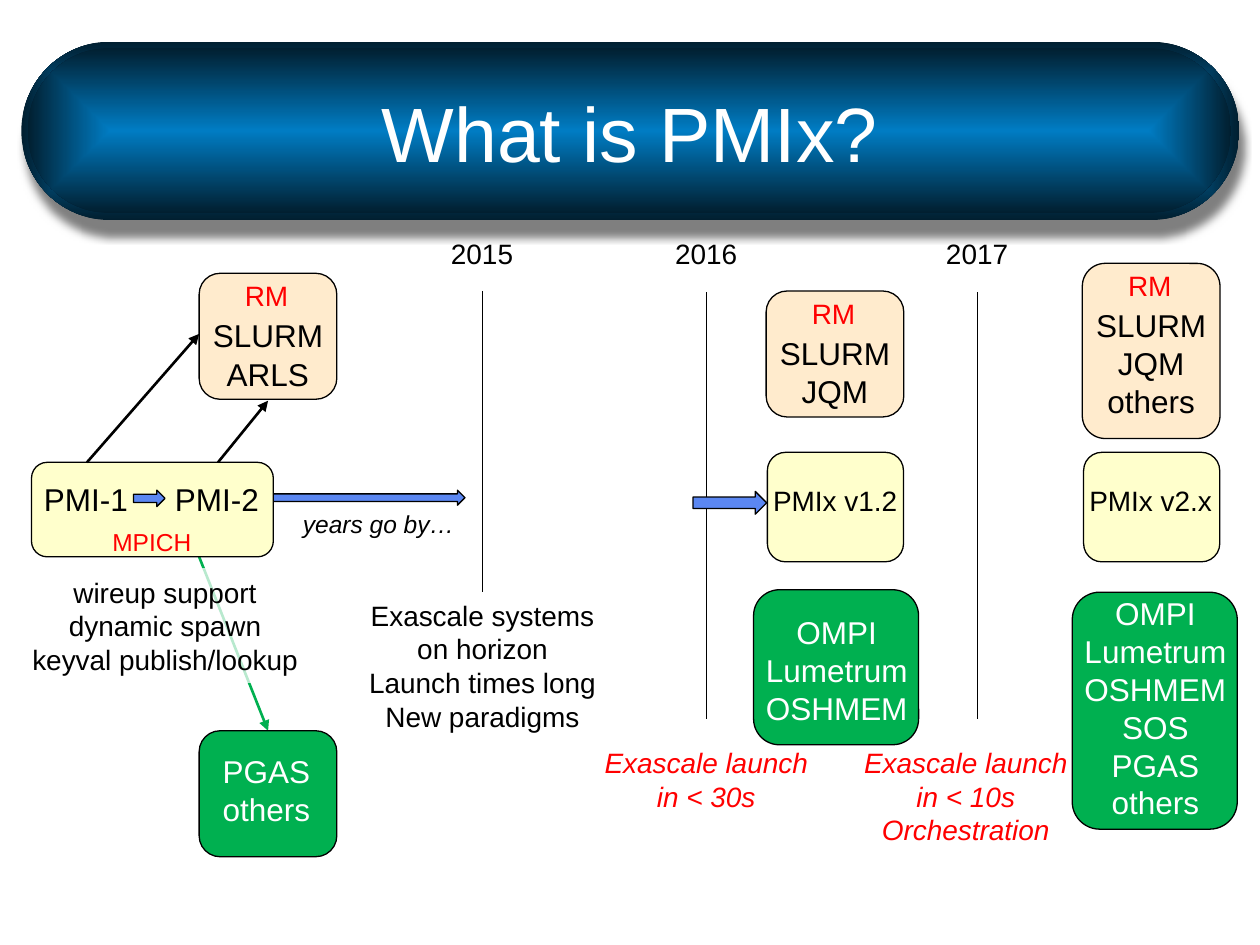
import pptx
import pptx.util
import pptx.dml.color
import pptx.enum.shapes
import pptx.enum.text
import pptx.oxml
import pptx.oxml.ns
from lxml import etree

Pt = pptx.util.Pt
SHAPE = pptx.enum.shapes.MSO_SHAPE
ALIGN = pptx.enum.text.PP_ALIGN
qn = pptx.oxml.ns.qn

COLORS = {
    "black": "000000",
    "white": "FFFFFF",
    "red": "FF0000",
    "manager": "FFEBCD",
    "interface": "FFFFCC",
    "library": "00B050",
    "arrow": "5B87F2",
    "glow": "007CC3",
    "navy": "011F30",
}
FONT = "Arial"
CARD_WIDTH = 78.7


def rgb(name):
    return pptx.dml.color.RGBColor.from_string(COLORS[name])


def add_block(page, kind, left, top, width, height, fill, outlined=True):
    block = page.shapes.add_shape(kind, Pt(left), Pt(top), Pt(width), Pt(height))
    block.shadow.inherit = False
    block.fill.solid()
    block.fill.fore_color.rgb = rgb(fill)
    if outlined:
        block.line.color.rgb = rgb("black")
        block.line.width = Pt(0.75)
    else:
        block.line.fill.background()
    return block


def add_card(page, left, top, width, height, fill):
    return add_block(page, SHAPE.ROUNDED_RECTANGLE, left, top, width, height, fill)


def add_arrow(page, left, top, width, height):
    return add_block(page, SHAPE.RIGHT_ARROW, left, top, width, height, "arrow")


def write_lines(frame, lines, size, color, italic=False, align=ALIGN.CENTER):
    for index, line in enumerate(lines):
        para = frame.paragraphs[0] if index == 0 else frame.add_paragraph()
        para.text = line
        para.alignment = align
        para.font.name = FONT
        para.font.size = Pt(size)
        para.font.italic = italic
        para.font.color.rgb = rgb(color)


def add_label(page, lines, left, top, width, height, size=16, color="black",
              italic=False, align=ALIGN.CENTER):
    box = page.shapes.add_textbox(Pt(left), Pt(top), Pt(width), Pt(height))
    box.text_frame.word_wrap = False
    write_lines(box.text_frame, lines, size, color, italic, align)


def add_line(page, start, end, color="black", width=1.5, arrowhead=True):
    line = page.shapes.add_connector(
        pptx.enum.shapes.MSO_CONNECTOR.STRAIGHT, *[Pt(value) for value in start + end])
    line.line.color.rgb = rgb(color)
    line.line.width = Pt(width)
    if arrowhead:
        etree.SubElement(line.line._get_or_add_ln(), qn("a:tailEnd"), type="triangle")
    etree.SubElement(line._element.spPr, qn("a:effectLst"))


def add_pill(page, left, top, width, height, shadowed):
    pill = add_block(page, SHAPE.ROUNDED_RECTANGLE, left, top, width, height, "navy", False)
    pill.adjustments[0] = 0.5
    properties = pill._element.spPr
    gradient = pptx.oxml.parse_xml(
        f'<a:gradFill {pptx.oxml.ns.nsdecls("a")}><a:gsLst>'
        f'<a:gs pos="0"><a:srgbClr val="{COLORS["glow"]}"/></a:gs>'
        f'<a:gs pos="100000"><a:srgbClr val="{COLORS["navy"]}"/></a:gs></a:gsLst>'
        '<a:path path="shape"><a:fillToRect l="50000" t="50000" r="50000" b="50000"/>'
        '</a:path></a:gradFill>')
    properties.replace(properties.find(qn("a:solidFill")), gradient)
    if shadowed:
        shadow = etree.SubElement(
            properties.find(qn("a:effectLst")), qn("a:outerShdw"),
            blurRad=str(Pt(5)), dist=str(Pt(9.2)), dir=str(77 * 60000), rotWithShape="0")
        tint = etree.SubElement(shadow, qn("a:srgbClr"), val=COLORS["black"])
        etree.SubElement(tint, qn("a:alpha"), val="50000")


def add_banner(page):
    add_pill(page, 12.2, 23.8, 696, 102, True)
    add_pill(page, 15.8, 27.4, 687.6, 94.3, False)
    title = page.shapes.title
    title.left, title.top, title.width, title.height = Pt(54), Pt(30), Pt(612), Pt(90)
    title.text_frame.vertical_anchor = pptx.enum.text.MSO_ANCHOR.MIDDLE
    write_lines(title.text_frame, ["What is PMIx?"], 44, "white")
    title._element.getparent().append(title._element)


def add_manager(page, left, top, height, names):
    add_card(page, left, top, CARD_WIDTH, height, "manager")
    add_label(page, names, left, top + 21, CARD_WIDTH, 10 + 21 * len(names), 18)
    add_label(page, ["RM"], left + 19, top - 0.5, 39.6, 26.6, color="red", align=ALIGN.LEFT)


def add_interface(page, left, name):
    add_card(page, left, 258.5, 77.8, 62.6, "interface")
    add_label(page, [name], left - 3.8, 272.9, 86, 26.6, align=ALIGN.LEFT)


def add_libraries(page, left, top, height, text_top, names):
    add_card(page, left, top, 94.3, height, "library")
    add_label(page, names, left - 0.7, text_top, 96.5, 7.2 + 21.8 * len(names), 18, "white")


def add_year(page, year, center, top, bottom):
    add_label(page, [year], center - 25.2, 131.8, 50.4, 26.6, align=ALIGN.LEFT)
    add_line(page, (center, top), (center, bottom), width=0.75, arrowhead=False)


def add_early_stage(page):
    add_arrow(page, 153.4, 280.1, 112.3, 8.6)
    add_line(page, (113.8, 318.2), (153.2, 417.6), "library")
    add_card(page, 18, 264.2, 138.2, 54, "interface")
    for name, left in (("PMI-1", 18), ("PMI-2", 92.9)):
        add_label(page, [name], left, 270.7, 63.4, 28.8, 18, align=ALIGN.LEFT)
    add_arrow(page, 76.3, 280.1, 18, 9.4)
    add_label(page, ["MPICH"], 56.9, 297.4, 59.8, 24.5, 14, "red")

    features = add_block(page, SHAPE.RECTANGLE, 8.6, 324.7, 171.4, 65.5, "white", False)
    tint = features._element.spPr.find(qn("a:solidFill"))[0]
    etree.SubElement(tint, qn("a:alpha"), val="72000")
    features.text_frame.word_wrap = True
    write_lines(features.text_frame,
                ["wireup support", "dynamic spawn", "keyval publish/lookup"], 16, "black")

    add_label(page, ["years go by…"], 165.6, 287.3, 101.5, 24.5, 14, italic=True)
    add_manager(page, 113.8, 156.2, 72, ["SLURM"])
    add_label(page, ["ARLS"], 122.4, 199.4, 61.2, 28.8, 18, align=ALIGN.LEFT)
    add_line(page, (49.7, 264.2), (113.8, 190.8))
    add_line(page, (124.6, 264.2), (153.2, 229))
    add_card(page, 113.8, 417.6, CARD_WIDTH, 72, "library")
    add_label(page, ["PGAS", "others"], 120.2, 426.2, 64.8, 51.1, 18, "white",
              align=ALIGN.LEFT)


def add_timeline(page):
    add_year(page, "2015", 275.8, 166.3, 338.4)
    add_year(page, "2016", 403.9, 167, 411.1)
    add_year(page, "2017", 558.7, 167, 411.1)
    add_label(page, ["Exascale systems", "on horizon", "Launch times long", "New paradigms"],
              203, 338.4, 145.4, 85)
    goals = [(337.7, ["Exascale launch", "in < 30s"]),
             (486, ["Exascale launch", "in < 10s", "Orchestration"])]
    for left, lines in goals:
        add_label(page, lines, left, 422.6, 131.8, 7.2 + 19.4 * len(lines),
                  color="red", italic=True)


def add_current_stages(page):
    add_arrow(page, 396, 280.8, 42.1, 13)
    add_manager(page, 437.8, 166.3, 72, ["SLURM", "JQM"])
    add_interface(page, 438.5, "PMIx v1.2")
    add_libraries(page, 430.6, 337, 88.6, 347, ["OMPI", "Lumetrum", "OSHMEM"])
    add_manager(page, 618.5, 150.5, 100.1, ["SLURM", "JQM", "others"])
    add_interface(page, 619.2, "PMIx v2.x")
    add_libraries(page, 612.7, 338.4, 135.4, 336.2,
                  ["OMPI", "Lumetrum", "OSHMEM", "SOS", "PGAS", "others"])


def main():
    deck = pptx.Presentation()
    deck.slide_width, deck.slide_height = Pt(720), Pt(540)
    page = deck.slides.add_slide(deck.slide_layouts[5])
    add_banner(page)
    add_early_stage(page)
    add_timeline(page)
    add_current_stages(page)
    deck.save("out.pptx")


if __name__ == "__main__":
    main()
